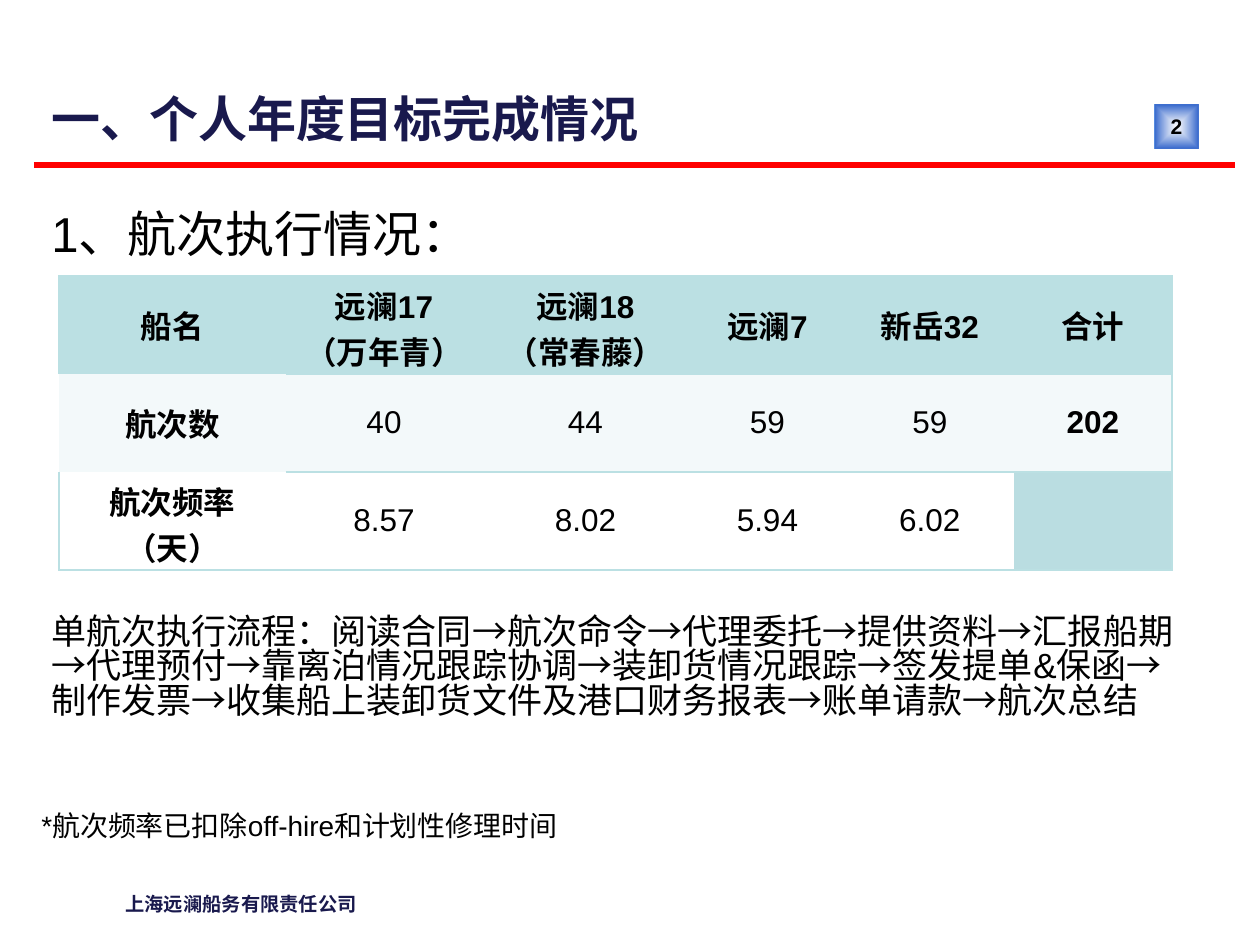
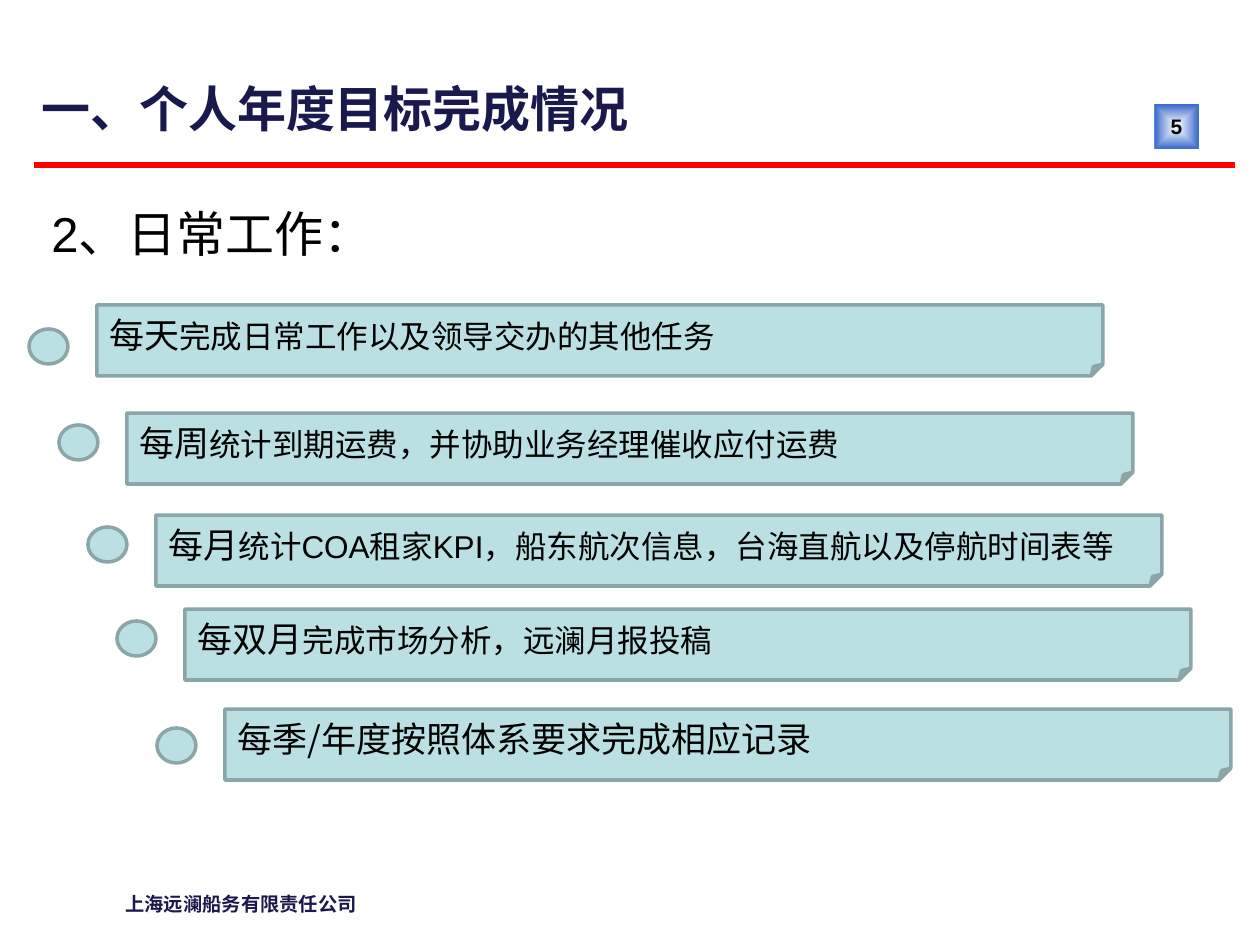
from dataclasses import dataclass

from lxml import etree
from pptx import Presentation
from pptx.dml.color import RGBColor
from pptx.enum.shapes import MSO_CONNECTOR, MSO_SHAPE
from pptx.enum.text import MSO_ANCHOR, MSO_AUTO_SIZE, PP_ALIGN
from pptx.oxml import parse_xml
from pptx.oxml.ns import nsdecls, qn
from pptx.util import Emu, Pt

STRAIGHT = MSO_CONNECTOR.STRAIGHT
RECTANGLE = MSO_SHAPE.RECTANGLE
FOLDED_NOTE = MSO_SHAPE.FOLDED_CORNER
DOT = MSO_SHAPE.FLOWCHART_CONNECTOR
MIDDLE, TOP = MSO_ANCHOR.MIDDLE, MSO_ANCHOR.TOP
CENTER, LEFT = PP_ALIGN.CENTER, PP_ALIGN.LEFT
FIT_TEXT, NO_FIT = MSO_AUTO_SIZE.SHAPE_TO_FIT_TEXT, MSO_AUTO_SIZE.NONE
EMU_PER_PIXEL = 914400 / 126


@dataclass(frozen=True)
class Theme:
    """Colours, fonts and type sizes of the deck."""
    navy: str = "19194D"
    black: str = "000000"
    white: str = "FFFFFF"
    red: str = "FF0000"
    blue: str = "3366CC"
    teal: str = "BBE0E3"
    teal_dark: str = "8AA6A8"
    teal_pale: str = "F3F9FA"
    teal_blank: str = "BADDE1"
    latin: str = "Arial"
    chinese: str = "Noto Sans CJK SC"
    heading: int = 28
    lead: int = 20
    body: int = 18
    remark: int = 16
    badge: int = 12
    footer: int = 11
    tight: float = 0.83


THEME = Theme()
TITLE = "一、个人年度目标完成情况"
COMPANY = "上海远澜船务有限责任公司"
STEPS = (
    "阅读合同", "航次命令", "代理委托", "提供资料", "汇报船期", "代理预付",
    "靠离泊情况跟踪协调", "装卸货情况跟踪", "签发提单&保函", "制作发票",
    "收集船上装卸货文件及港口财务报表", "账单请款", "航次总结",
)
VOYAGES = (
    ("船名", "远澜17\n（万年青）", "远澜18\n（常春藤）", "远澜7", "新岳32", "合计"),
    ("航次数", "40", "44", "59", "59", "202"),
    ("航次频率（天）", "8.57", "8.02", "5.94", "6.02", ""),
)
COLUMN_WIDTHS = (227, 196, 207, 157, 168, 158)
ROW_HEIGHT = 98
DUTIES = (
    (97, 305, 24, "每天", "完成日常工作以及领导交办的其他任务"),
    (127, 413, 12, "每周", "统计到期运费，并协助业务经理催收应付运费"),
    (156, 515, 12, "每月", "统计COA租家KPI，船东航次信息，台海直航以及停航时间表等"),
    (185, 609, 12, "每双月", "完成市场分析，远澜月报投稿"),
    (225, 709, 19, "每季/年度按照体系要求完成相应记录", ""),
)


def px(pixels):
    """Turn pixels into EMU."""
    return Emu(round(pixels * EMU_PER_PIXEL))


def box(*lengths):
    """Turn several pixel lengths into EMU."""
    return [px(length) for length in lengths]


def rgb(colour):
    """Turn a hex string into a colour."""
    return RGBColor.from_string(colour)


def style_run(run, size, colour=THEME.black, bold=False, latin=THEME.latin):
    """Set the font of one run, Latin and Chinese."""
    font = run.font
    font.size, font.bold, font.name = Pt(size), bold, latin
    font.color.rgb = rgb(colour)
    east_asian = etree.SubElement(run._r.get_or_add_rPr(), qn("a:ea"))
    east_asian.set("typeface", THEME.chinese)


def add_text(slide, area, text, size, anchor=TOP, fit=FIT_TEXT, spacing=THEME.tight, **font):
    """Add a wrapping text box with one paragraph."""
    frame = slide.shapes.add_textbox(*box(*area)).text_frame
    frame.word_wrap = True
    frame.auto_size = fit
    frame.vertical_anchor = anchor
    frame.text = text
    paragraph = frame.paragraphs[0]
    paragraph.line_spacing = spacing
    style_run(paragraph.runs[0], size, **font)


def add_rule(slide):
    """Add the red rule below the title."""
    rule = slide.shapes.add_connector(STRAIGHT, *box(34, 165, 1235, 165))
    rule.line.color.rgb = rgb(THEME.red)
    rule.line.width = Pt(3)
    etree.SubElement(rule._element.spPr, qn("a:effectLst"))


def add_badge(slide, number):
    """Add the page number on its glowing square."""
    badge = slide.shapes.add_shape(RECTANGLE, *box(1155, 105, 43, 43))
    badge.shadow.inherit = False
    badge.line.fill.background()
    badge.fill.background()
    properties = badge._element.spPr
    glow = parse_xml(
        f'<a:gradFill {nsdecls("a")} rotWithShape="1"><a:gsLst>'
        f'<a:gs pos="0"><a:srgbClr val="{THEME.white}"><a:alpha val="79000"/></a:srgbClr></a:gs>'
        f'<a:gs pos="100000"><a:srgbClr val="{THEME.blue}"/></a:gs></a:gsLst>'
        '<a:path path="shape"><a:fillToRect l="50000" t="50000" r="50000" b="50000"/></a:path>'
        '</a:gradFill>')
    properties.replace(properties.find(qn("a:noFill")), glow)
    frame = badge.text_frame
    frame.word_wrap = False
    frame.vertical_anchor = MIDDLE
    frame.text = str(number)
    frame.paragraphs[0].alignment = CENTER
    style_run(frame.paragraphs[0].runs[0], THEME.badge, bold=True)


def add_page(deck, number, title_left, title_top, section):
    """Add a slide with footer, rule, badge, title and section heading."""
    slide = deck.slides.add_slide(deck.slide_layouts[6])
    add_text(slide, (113, 890, 476, 35), COMPANY, THEME.footer,
             colour=THEME.navy, bold=True, latin=THEME.chinese)
    add_rule(slide)
    add_badge(slide, number)
    add_text(slide, (title_left, title_top, 1191, 98), TITLE, THEME.heading,
             anchor=MIDDLE, fit=NO_FIT, spacing=1.0,
             colour=THEME.navy, bold=True, latin=THEME.chinese)
    add_text(slide, (39, 207, 1092, 72), section, THEME.heading)
    return slide


def set_borders(cell, sides):
    """Draw the given sides of a cell and clear the others."""
    properties = cell._tc.get_or_add_tcPr()
    for position, side in enumerate("LRTB"):
        paint = (f'<a:solidFill><a:srgbClr val="{THEME.teal}"/></a:solidFill>'
                 if side in sides else "<a:noFill/>")
        properties.insert(position, parse_xml(
            f'<a:ln{side} {nsdecls("a")} w="12700">{paint}</a:ln{side}>'))


def fill_cell(cell, text, fill, bold, sides):
    """Write and format one table cell."""
    cell.fill.solid()
    cell.fill.fore_color.rgb = rgb(fill)
    cell.vertical_anchor = MIDDLE
    cell.margin_left = cell.margin_right = px(15)
    cell.margin_top = cell.margin_bottom = px(6)
    cell.text_frame.text = text
    for paragraph in cell.text_frame.paragraphs:
        paragraph.alignment = CENTER
        for run in paragraph.runs:
            style_run(run, THEME.body, bold=bold)
    set_borders(cell, sides)


def add_voyage_table(slide):
    """Add the table of voyages per ship."""
    last = len(COLUMN_WIDTHS) - 1
    area = box(59, 276, sum(COLUMN_WIDTHS), ROW_HEIGHT * len(VOYAGES))
    table = slide.shapes.add_table(len(VOYAGES), len(COLUMN_WIDTHS), *area).table
    table.first_row = table.horz_banding = False
    for column, width in zip(table.columns, COLUMN_WIDTHS):
        column.width = px(width)
    row_fills = (THEME.teal, THEME.teal_pale, THEME.white)
    label_sides = ("LT", "", "LB")
    for r, (values, fill) in enumerate(zip(VOYAGES, row_fills)):
        for c, value in enumerate(values):
            sides = label_sides[r] if c == 0 else "TRB" if c == last else "TB"
            fill_cell(table.cell(r, c), value, fill if value else THEME.teal_blank,
                      r == 0 or c in (0, last), sides)


def add_outlined(group, kind, area):
    """Add a teal shape with a darker outline."""
    shape = group.shapes.add_shape(kind, *box(*area))
    shape.shadow.inherit = False
    shape.fill.solid()
    shape.fill.fore_color.rgb = rgb(THEME.teal)
    shape.line.color.rgb = rgb(THEME.teal_dark)
    shape.line.width = Pt(2)
    return shape


def add_duty(slide, left, top, dot_drop, period, task):
    """Add one duty: a folded note with a dot before it."""
    group = slide.shapes.add_group_shape()
    note = add_outlined(group, FOLDED_NOTE, (left, top, 1006, 71))
    add_outlined(group, DOT, (left - 68, top + dot_drop, 39, 35))
    frame = note.text_frame
    frame.word_wrap = True
    frame.vertical_anchor = MIDDLE
    frame.text = period
    paragraph = frame.paragraphs[0]
    paragraph.alignment = LEFT
    style_run(paragraph.runs[0], THEME.lead, latin=THEME.chinese)
    if task:
        task_run = paragraph.add_run()
        task_run.text = task
        style_run(task_run, THEME.body)


def build_voyage_slide(deck):
    """Build the slide on voyages carried out."""
    slide = add_page(deck, 2, 39, 69, "1、航次执行情况：")
    add_voyage_table(slide)
    add_text(slide, (39, 610, 1162, 140), "单航次执行流程：" + "→".join(STEPS), THEME.lead)
    add_text(slide, (29, 808, 1004, 47), "*航次频率已扣除off-hire和计划性修理时间", THEME.remark)


def build_duty_slide(deck):
    """Build the slide on daily work."""
    slide = add_page(deck, 5, 29, 59, "2、日常工作：")
    for duty in DUTIES:
        add_duty(slide, *duty)


def main():
    """Build and save the deck."""
    deck = Presentation()
    deck.slide_width, deck.slide_height = box(1260, 945)
    build_voyage_slide(deck)
    build_duty_slide(deck)
    deck.save("out.pptx")


main()
